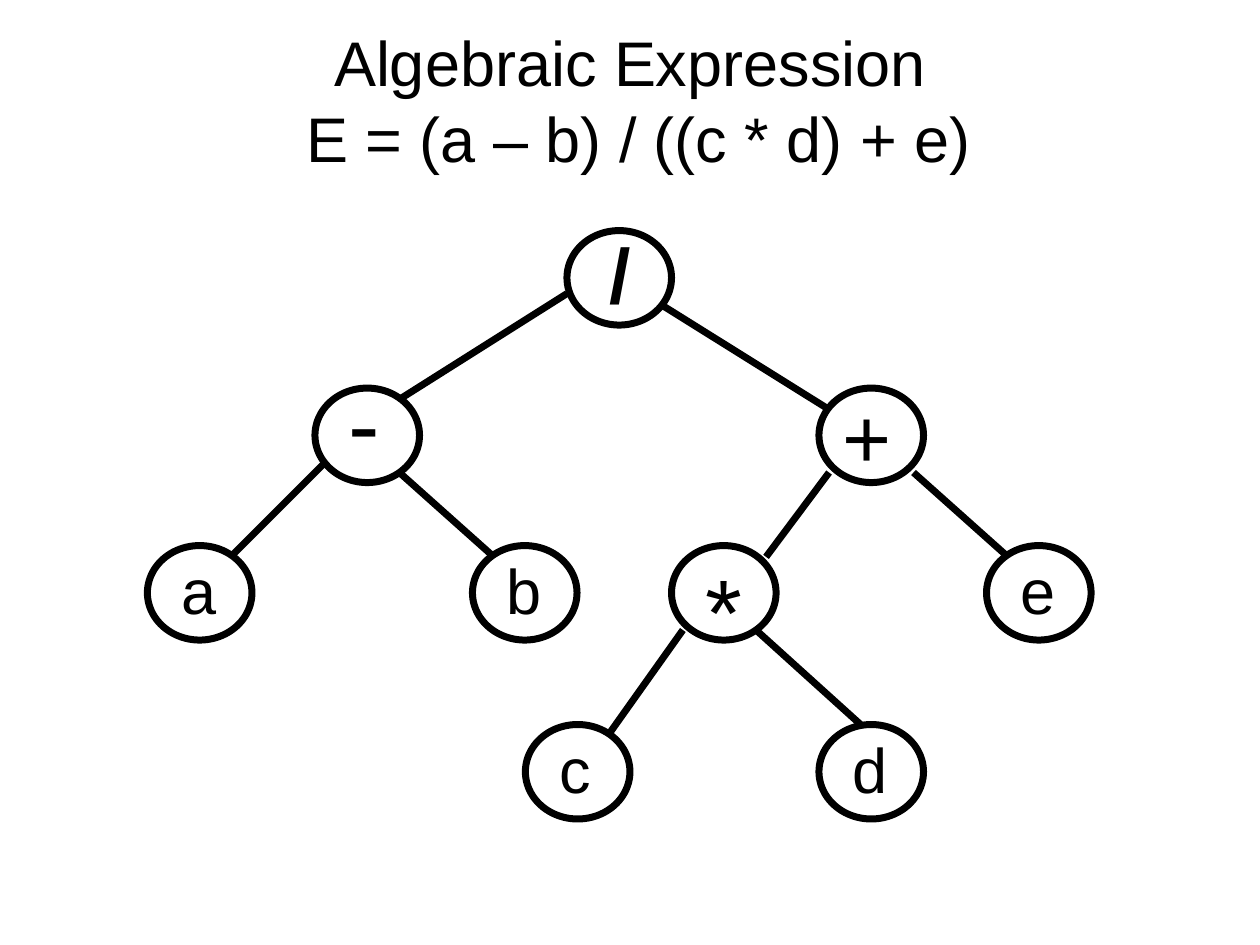
"""Build a slide showing an algebraic expression as a binary tree."""
from dataclasses import dataclass

from lxml import etree
from pptx import Presentation
from pptx.dml.color import RGBColor
from pptx.enum.shapes import MSO_CONNECTOR, MSO_SHAPE
from pptx.enum.text import MSO_ANCHOR, PP_ALIGN
from pptx.oxml.ns import qn
from pptx.util import Inches, Pt

STRAIGHT = MSO_CONNECTOR.STRAIGHT
OVAL = MSO_SHAPE.OVAL
TOP, MIDDLE = MSO_ANCHOR.TOP, MSO_ANCHOR.MIDDLE
LEFT, CENTER = PP_ALIGN.LEFT, PP_ALIGN.CENTER
BLANK_LAYOUT = 6


@dataclass(frozen=True)
class Theme:
    font: str = "Arial"
    ink: RGBColor = RGBColor(0, 0, 0)
    title_size: int = 36
    operand_size: int = 36
    slash_size: int = 44
    plus_size: int = 48
    symbol_size: int = 54
    line_width: int = 4


THEME = Theme()
NODE_WIDTH, NODE_HEIGHT = 0.83, 0.75
ROOT_ROW, OPERATOR_ROW, MIDDLE_ROW, LEAF_ROW = 1.83, 3.08, 4.33, 5.75

OPERANDS = [
    ("a", 1.17, MIDDLE_ROW),
    ("b", 3.75, MIDDLE_ROW),
    ("e", 7.83, MIDDLE_ROW),
    ("c", 4.17, LEAF_ROW),
    ("d", 6.5, LEAF_ROW),
]

# Symbol, node left, node top, label offset and size, format
OPERATORS = [
    ("/", 4.5, ROOT_ROW, (0.24, -0.08, 0.37, 0.84),
     {"size": THEME.slash_size, "bold": True}),
    ("-", 2.5, OPERATOR_ROW, (0.17, -0.24, 0.45, 1),
     {"size": THEME.symbol_size}),
    ("+", 6.5, OPERATOR_ROW, (0.09, -0.08, 0.59, 0.9),
     {"size": THEME.plus_size}),
    ("*", 5.33, MIDDLE_ROW, (0.17, 0, 0.49, 1),
     {"size": THEME.symbol_size}),
]

BRANCHES = [
    ((4.5, 2.33), (3.17, 3.17)),
    ((5.25, 2.42), (6.58, 3.25)),
    ((2.58, 3.67), (1.83, 4.42)),
    ((3.17, 3.75), (3.92, 4.42)),
    ((6.58, 3.75), (6.08, 4.42)),
    ((7.25, 3.75), (8, 4.42)),
    ((5.42, 5), (4.83, 5.83)),
    ((6, 5), (6.83, 5.75)),
]


def add_text(slide, text, box, *, size, bold=False, align=LEFT,
             anchor=TOP, wrap=False):
    """Add a text box in the theme font."""
    shape = slide.shapes.add_textbox(*map(Inches, box))
    frame = shape.text_frame
    frame.word_wrap = wrap
    frame.vertical_anchor = anchor
    paragraph = frame.paragraphs[0]
    paragraph.text = text
    paragraph.alignment = align
    for run in paragraph.runs:
        run.font.name = THEME.font
        run.font.size = Pt(size)
        run.font.bold = bold
        run.font.color.rgb = THEME.ink


def style_line(line):
    """Give an outline or branch the theme stroke."""
    line.color.rgb = THEME.ink
    line.width = Pt(THEME.line_width)


def add_node(slide, symbol, left, top, label=(0.17, 0, 0.48, 0.7), *,
             size=THEME.operand_size, bold=False):
    """Add a tree node with its symbol."""
    shape = slide.shapes.add_shape(
        OVAL, *map(Inches, (left, top, NODE_WIDTH, NODE_HEIGHT)))
    shape.shadow.inherit = False
    shape.fill.background()
    style_line(shape.line)
    across, down, width, height = label
    add_text(slide, symbol, (left + across, top + down, width, height),
             size=size, bold=bold)


def add_branch(slide, start, end):
    """Add a straight line between two points."""
    connector = slide.shapes.add_connector(
        STRAIGHT, *map(Inches, (*start, *end)))
    style_line(connector.line)
    etree.SubElement(connector._element.spPr, qn("a:effectLst"))


def main():
    """Build and save the slide."""
    presentation = Presentation()
    presentation.slide_width = Inches(10)
    presentation.slide_height = Inches(7.5)
    slide = presentation.slides.add_slide(
        presentation.slide_layouts[BLANK_LAYOUT])
    add_text(slide, "Algebraic Expression\v E = (a – b) / ((c * d) + e)",
             (0.5, 0.33, 9, 0.92), size=THEME.title_size,
             align=CENTER, anchor=MIDDLE, wrap=True)
    for symbol, left, top in OPERANDS:
        add_node(slide, symbol, left, top)
    for symbol, left, top, label, style in OPERATORS:
        add_node(slide, symbol, left, top, label, **style)
    for start, end in BRANCHES:
        add_branch(slide, start, end)
    presentation.save("out.pptx")


if __name__ == "__main__":
    main()
